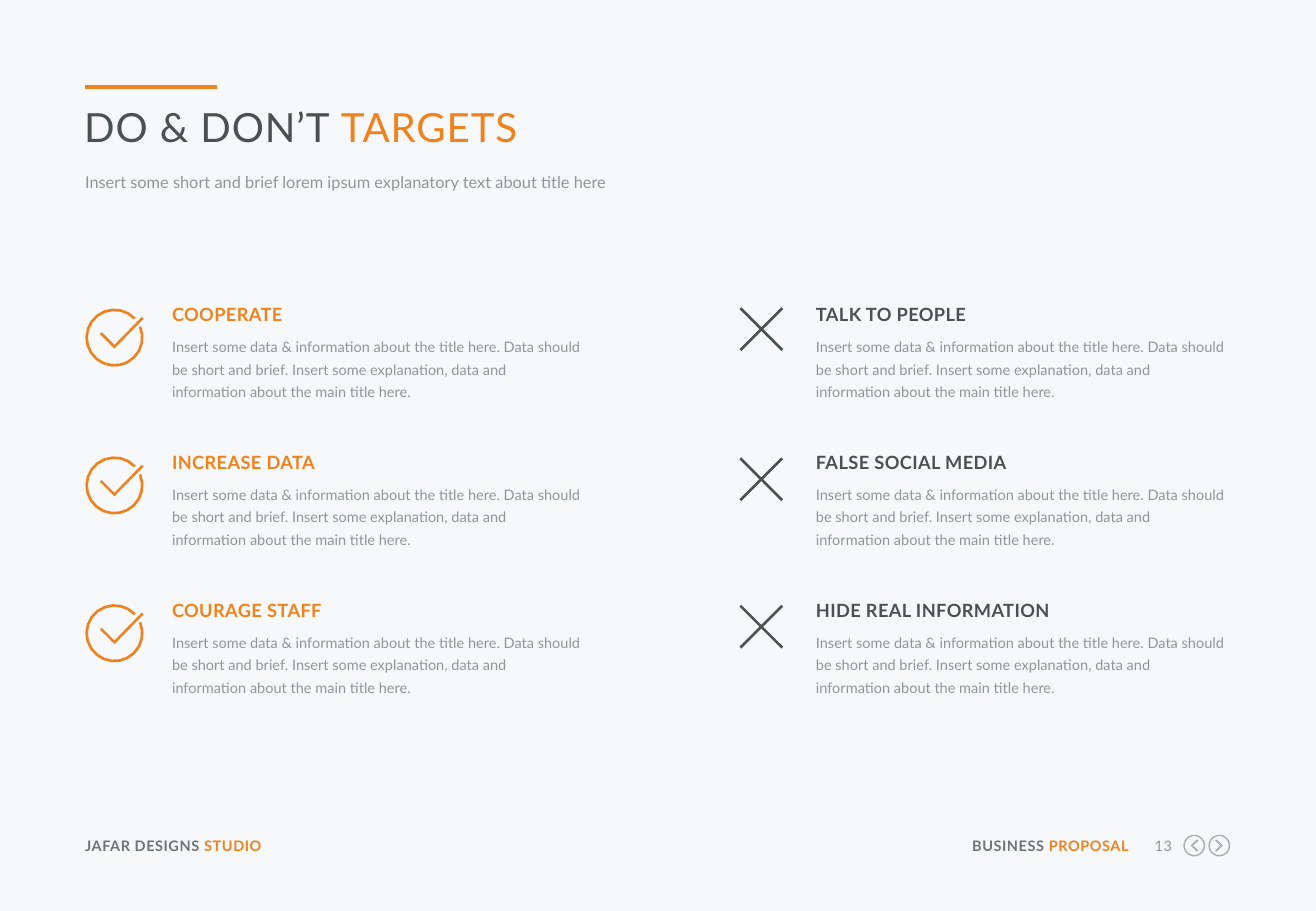
from math import cos, radians, sin

from lxml.etree import SubElement
from pptx import Presentation
from pptx.dml.color import RGBColor
from pptx.enum.shapes import MSO_CONNECTOR
from pptx.enum.text import PP_ALIGN
from pptx.oxml.ns import qn
from pptx.util import Pt

PX = 914.4  # EMU per px, 1000 px to the inch
ORANGE, DARK, SLATE, GRAY, PALE = "F0821E", "4B5050", "6E7378", "91969B", "AAAFB4"
hue = RGBColor.from_string

TITLE = {"size": Pt(23.8), "spc": 57}
LEAD = {"size": Pt(9.7)}
HEAD = {"size": Pt(10.8), "bold": True, "spc": 23}
BODY = {"size": Pt(8.6)}
FOOT = {"size": Pt(8.6), "bold": True, "spc": 30}
PAGE = {"size": Pt(8.6), "spc": 30}

deck = Presentation()
deck.slide_width, deck.slide_height = int(10830 * PX), int(7500 * PX)
slide = deck.slides.add_slide(deck.slide_layouts[6])
slide.background.fill.solid()
slide.background.fill.fore_color.rgb = hue("F6F8FA")


def write(x, y, w, h, runs, style, align=PP_ALIGN.LEFT, lead=None):
    """Add a text box whose runs are (text, colour) pairs."""
    box = [int(n * PX) for n in (x, y, w, h)]
    frame = slide.shapes.add_textbox(*box).text_frame
    frame.word_wrap = True
    for side in ("left", "top", "right", "bottom"):
        setattr(frame, f"margin_{side}", 0)
    para = frame.paragraphs[0]
    para.alignment, para.line_spacing = align, lead
    for text, tone in runs:
        run = para.add_run()
        run.text = text
        run.font.name = "Lato"
        run.font.color.rgb = hue(tone)
        for key, val in style.items():
            if key == "spc":
                run._r.get_or_add_rPr().set(key, str(val))
            else:
                setattr(run.font, key, val)


def draw(x, y, loops, tone):
    """Fill one outline made of closed loops centred on x, y."""
    paths = [[((x + a) * PX, (y + b) * PX) for a, b in loop] for loop in loops]
    pen = slide.shapes.build_freeform(*paths[0][0], scale=1.0)
    pen.add_line_segments(paths[0][1:], close=True)
    for path in paths[1:]:
        pen.move_to(*path[0])
        pen.add_line_segments(path[1:], close=True)
    shape = pen.convert_to_shape()
    shape.shadow.inherit = False
    shape.fill.solid()
    shape.fill.fore_color.rgb = hue(tone)
    shape.line.fill.background()


# Icon outlines
round_pts = [(cos(radians(d)), sin(radians(d))) for d in range(0, 360, 20)]
open_pts = [(cos(radians(d)), sin(radians(d))) for d in range(-23, 318, 17)]
outer = [(240 * a, 240 * b) for a, b in open_pts]
inner = [(218 * a, 218 * b) for a, b in open_pts]
tick = [(-120, -30), (-105, -45), (0, 60), (225, -170), (240, -155), (0, 90)]
check = [outer + inner[::-1], tick]

arm = [(0, -15), (165, -180), (180, -165)]
cross = []
for turn in range(4):
    cross += arm
    arm = [(-b, a) for a, b in arm]

rings = [[(r * a, r * b) for a, b in round_pts] for r in (90, 78)]
arrow = [(-35, -40), (-20, -50), (30, 0), (-20, 50), (-35, 40), (10, 0)]

# Header
ends = [int(n * PX) for n in (700, 716, 1790, 716)]
bar = slide.shapes.add_connector(MSO_CONNECTOR.STRAIGHT, *ends)
bar.line.color.rgb = hue(ORANGE)
bar.line.width = Pt(2.25)
SubElement(bar._element.spPr, qn("a:effectLst"))
write(692, 840, 9420, 410, [("DO & DON’T ", DARK), ("TARGETS", ORANGE)], TITLE)
write(700, 1400, 9420, 210,
      [("Insert some short and brief lorem ipsum explanatory text about title here", GRAY)],
      LEAD, lead=Pt(13))

# Do and don't columns
note = ("Insert some data & information about the title here. Data should be short "
        "and brief. Insert some explanation, data and information about the main title here.")
dos = ["COOPERATE", "INCREASE DATA", "COURAGE STAFF"]
donts = ["TALK TO PEOPLE", "FALSE SOCIAL MEDIA", "HIDE REAL INFORMATION"]
columns = [
    (1416, dos, ORANGE, check, 942, (2780, 3997, 5214)),
    (6715, donts, DARK, [cross], 6266, (2710, 3946, 5160)),
]
for left, heads, tone, icon, mid, rows in columns:
    for i, (head, row) in enumerate(zip(heads, rows)):
        top = 2500 + 1217 * i
        draw(mid, row, icon, tone)
        write(left, top + 240, 3400, 570, [(note, GRAY)], BODY, lead=1.3)
        write(left, top, 3400, 180, [(head, tone)], HEAD)

# Footer
write(700, 6890, 2110, 150, [("JAFAR DESIGNS ", SLATE), ("STUDIO", ORANGE)], FOOT)
write(7920, 6890, 1370, 150, [("BUSINESS ", SLATE), ("PROPOSAL", ORANGE)], FOOT,
      PP_ALIGN.RIGHT)
write(9396, 6890, 250, 150, [("13", GRAY)], PAGE, PP_ALIGN.RIGHT)
for mid, way in ((9828, -1), (10034, 1)):
    draw(mid, 6962, rings + [[(way * a, b) for a, b in arrow]], PALE)

deck.save("out.pptx")
